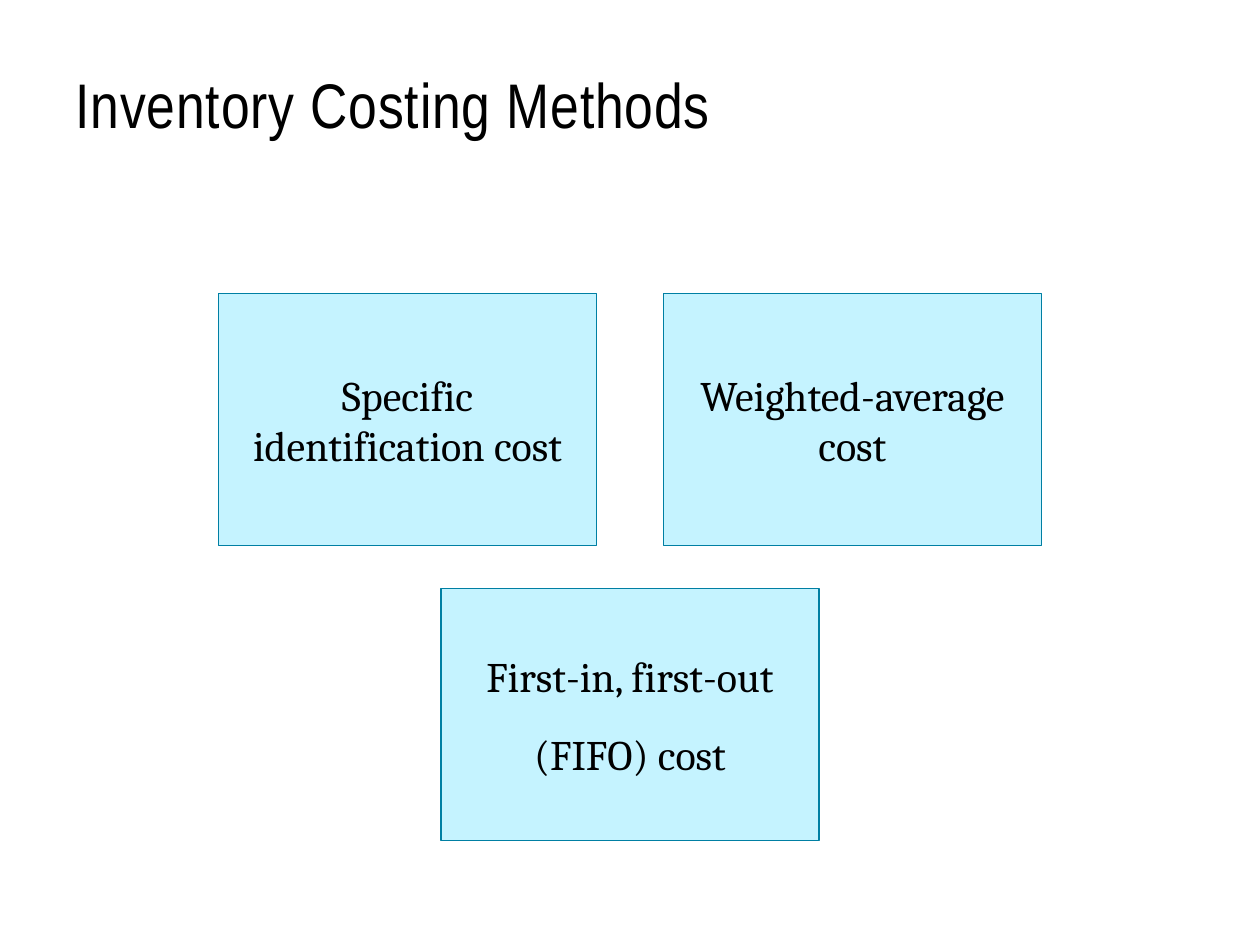
from pptx import Presentation
from pptx import util as u
from pptx.dml.color import RGBColor
from pptx.enum import shapes, text

TITLE = "Inventory Costing Methods"
# Each row of methods is centred on the slide; a method is a list of paragraphs.
METHOD_ROWS = [
    [["Specific identification cost"], ["Weighted-average cost"]],
    [["First-in, first-out", "(FIFO) cost"]],
]
COLORS = {"text": "000000", "fill": "C5F3FF", "line": "007FA3"}

SLIDE_W, SLIDE_H = 10, 7.5
BOX_W, BOX_H = 3, 2
GAP_X, GAP_Y = 0.53, 0.34
TOP = 2.33
INSET = 0.1


def color(name):
    return RGBColor.from_string(COLORS[name])


def prepare_frame(frame, bottom=INSET):
    frame.word_wrap = True
    frame.vertical_anchor = text.MSO_ANCHOR.MIDDLE
    frame.margin_left = frame.margin_right = frame.margin_top = u.Inches(INSET)
    frame.margin_bottom = u.Inches(bottom)


def add_span(para, words, font, size):
    span = para.add_run()
    span.text = words
    span.font.name = font
    span.font.size = u.Pt(size)
    span.font.color.rgb = color("text")
    return span


def add_title(page):
    box = page.shapes.add_textbox(*map(u.Inches, (0.5, 0.24, 9, 1.2)))
    prepare_frame(box.text_frame, bottom=0.05)
    para = box.text_frame.paragraphs[0]
    para.line_spacing = 0.85
    span = add_span(para, TITLE, "Arial Narrow", 36)
    span.font._element.set("spc", "50")


def add_method(page, lines, left, top):
    box = page.shapes.add_shape(shapes.MSO_SHAPE.RECTANGLE,
                                *map(u.Inches, (left, top, BOX_W, BOX_H)))
    box.shadow.inherit = False
    box.fill.solid()
    box.fill.fore_color.rgb = color("fill")
    box.line.color.rgb = color("line")
    box.line.width = u.Pt(0.75)
    frame = box.text_frame
    prepare_frame(frame)
    for index, line in enumerate(lines):
        para = frame.add_paragraph() if index else frame.paragraphs[0]
        para.alignment = text.PP_ALIGN.CENTER
        para.space_before = u.Pt(8 if index else 0)
        para.space_after = u.Pt(8)
        add_span(para, line, "Cambria", 24)


def main():
    deck = Presentation()
    deck.slide_width, deck.slide_height = u.Inches(SLIDE_W), u.Inches(SLIDE_H)
    page = deck.slides.add_slide(deck.slide_layouts[6])
    add_title(page)
    for row, methods in enumerate(METHOD_ROWS):
        row_width = len(methods) * (BOX_W + GAP_X) - GAP_X
        start = (SLIDE_W - row_width) / 2
        for column, lines in enumerate(methods):
            add_method(page, lines, start + column * (BOX_W + GAP_X),
                       TOP + row * (BOX_H + GAP_Y))
    deck.save("out.pptx")


if __name__ == "__main__":
    main()
